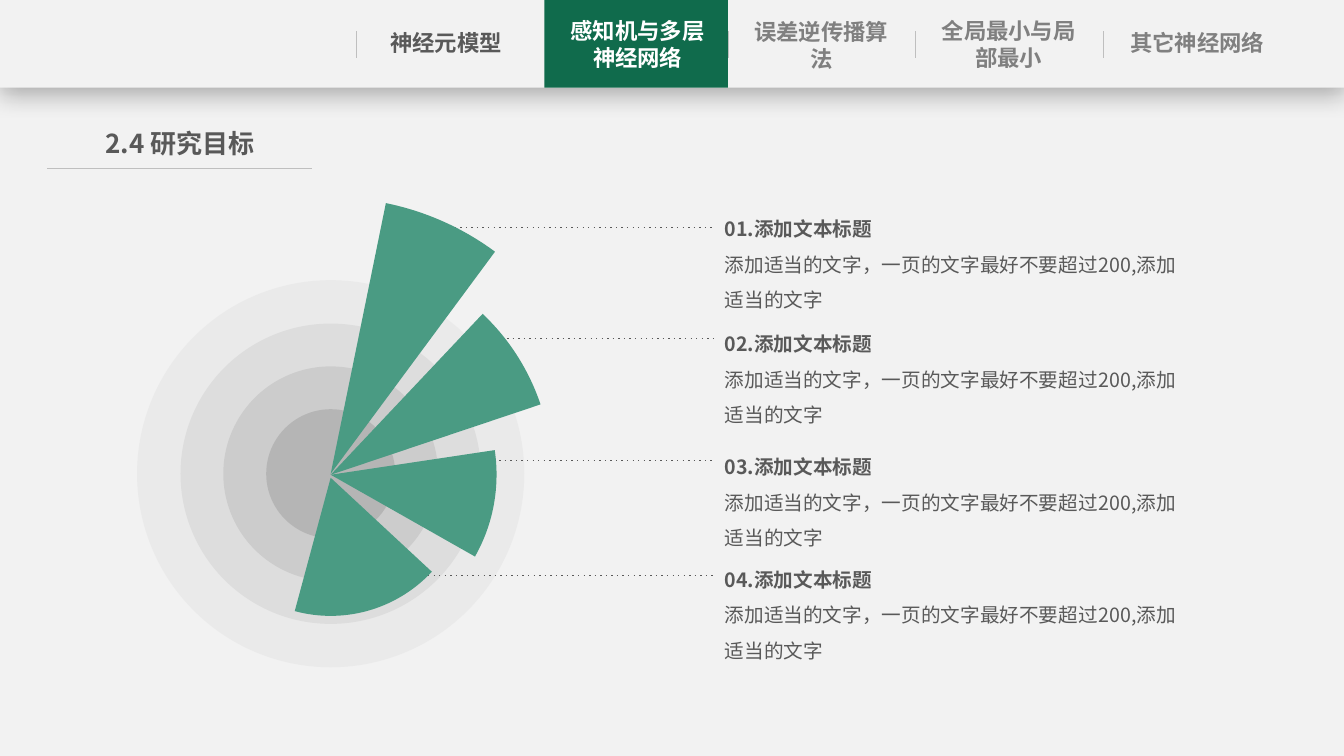
from lxml import etree
from pptx import Presentation
from pptx import util as u
from pptx.dml import color
from pptx.enum import shapes, text
from pptx.oxml import ns

FACE = "Noto Sans CJK SC"
HUES = {
    "page": "F2F2F2", "deep": "106B4C", "leaf": "4A9B83", "rule": "BFBFBF",
    "ink": "595959", "mute": "808080", "white": "FFFFFF",
}
RINGS = [(3.84, "D9D9D9"), (2.98, "BFBFBF"), (2.13, "A6A6A6"), (1.28, "808080")]
WEDGES = [
    (5.48, 4.7, 281.52, 306.49),
    (4.39, 4.71, 313.35, 341.45),
    (3.29, 4.71, 351.45, 29.55),
    (2.74, 4.74, 42.89, 105.07),
]
TABS = [
    (3.69, 0.24, 0.38, "神经元模型", "ink"),
    (5.59, 0.12, 0.64, "感知机与多层神经网络", "white"),
    (7.41, 0.13, 0.64, "误差逆传播算法", "mute"),
    (9.27, 0.12, 0.64, "全局最小与局部最小", "mute"),
    (11.14, 0.24, 0.38, "其它神经网络", "mute"),
]
ITEMS = [(1.99, 4.51, 2.26), (3.13, 4.92, 3.36), (4.35, 4.51, 4.57), (5.47, 4.19, 5.71)]
HINT = "添加适当的文字，一页的文字最好不要超过200,添加适当的文字"
HUB_X, HUB_Y = 3.28, 4.7


def rgb(hue):
    return color.RGBColor.from_string(HUES.get(hue, hue))


def node(parent, tag, **attrs):
    return etree.SubElement(parent, ns.qn(tag), attrs)


def style(item, form):
    for key, value in form.items():
        setattr(item, key, value)


def shape(slide, kind, box, hue, alpha=None):
    item = slide.shapes.add_shape(kind, *map(u.Inches, box))
    item.shadow.inherit = False
    item.fill.solid()
    item.fill.fore_color.rgb = rgb(hue)
    item.line.fill.background()
    if alpha:
        tone = item.fill._xPr.find(".//" + ns.qn("a:srgbClr"))
        node(tone, "a:alpha", val=str(alpha * 1000))
    return item


def disc(slide, kind, size, mid, hue, alpha=None):
    box = (HUB_X - size / 2, mid - size / 2, size, size)
    return shape(slide, kind, box, hue, alpha)


def wedge(slide, size, mid, start, end):
    item = disc(slide, shapes.MSO_SHAPE.PIE, size, mid, "leaf")
    for index, angle in enumerate((start, end)):
        item.adjustments[index] = angle * 0.6


def rule(slide, ends, hue="rule", width=0.5, dash=None):
    item = slide.shapes.add_connector(shapes.MSO_CONNECTOR.STRAIGHT, *map(u.Inches, ends))
    item.line.color.rgb = rgb(hue)
    item.line.width = u.Pt(width)
    if dash:
        node(item.line._get_or_add_ln(), "a:prstDash", val=dash)
    node(item._element.spPr, "a:effectLst")


def write(item, box, lines, size, hue, side=0.1, align=text.PP_ALIGN.LEFT, space=1.0):
    style(item, dict(zip(("left", "top", "width", "height"), map(u.Inches, box))))
    frame = item.text_frame
    style(frame, {
        "word_wrap": True,
        "auto_size": text.MSO_AUTO_SIZE.SHAPE_TO_FIT_TEXT,
        "vertical_anchor": text.MSO_ANCHOR.TOP,
        "margin_left": u.Inches(side), "margin_right": u.Inches(side),
        "margin_top": u.Inches(0.05), "margin_bottom": u.Inches(0.05),
    })
    for index, (words, bold) in enumerate(lines):
        para = frame.add_paragraph() if index else frame.paragraphs[0]
        style(para, {"alignment": align, "line_spacing": space})
        run = para.add_run()
        run.text = words
        style(run.font, {"name": FACE, "size": u.Pt(size), "bold": bold})
        run.font.color.rgb = rgb(hue)
        node(run._r.get_or_add_rPr(), "a:ea", typeface=FACE)


def label(slide, *args, **form):
    write(slide.shapes.add_textbox(0, 0, 0, 0), *args, **form)


def header(slide):
    bar = shape(slide, shapes.MSO_SHAPE.RECTANGLE, (0, 0, 13.33, 0.87), "page")
    glow = node(
        bar._element.spPr.find(ns.qn("a:effectLst")), "a:outerShdw",
        blurRad=str(u.Pt(18)), dist=str(u.Pt(4)), dir="5400000",
        algn="t", rotWithShape="0")
    node(node(glow, "a:srgbClr", val="000000"), "a:alpha", val="29000")
    shape(slide, shapes.MSO_SHAPE.RECTANGLE, (5.4, 0, 1.82, 0.87), "deep")
    for x in (3.53, 7.22, 9.08, 10.94):
        rule(slide, (x, 0.31, x, 0.58))
    for x, y, high, words, hue in TABS:
        label(slide, (x, y, 1.47, high), [(words, True)], 16, hue,
              side=0, align=text.PP_ALIGN.CENTER)


def chart(slide):
    for size, hue in RINGS:
        disc(slide, shapes.MSO_SHAPE.OVAL, size, HUB_Y, hue, 30)
    for _, x, y in ITEMS:
        rule(slide, (x, y, 7.1, y), "ink", 1, "dot")
    for row in WEDGES:
        wedge(slide, *row)


def main():
    deck = Presentation()
    style(deck, {"slide_width": u.Inches(13.33), "slide_height": u.Inches(7.5)})
    slide = deck.slides.add_slide(deck.slide_layouts[5])
    slide.background.fill.solid()
    slide.background.fill.fore_color.rgb = rgb("page")
    header(slide)
    write(slide.shapes.title, (0.75, 1.21, 2.07, 0.42), [("2.4 研究目标", True)],
          18.6, "ink", side=0, align=text.PP_ALIGN.CENTER)
    rule(slide, (0.47, 1.67, 3.09, 1.67))
    chart(slide)
    for count, (top, _, _) in enumerate(ITEMS, 1):
        lines = [(f"{count:02}.添加文本标题", True), (HINT, False)]
        label(slide, (7.09, top, 4.8, 1.16), lines, 14, "ink", space=1.5)
    deck.save("out.pptx")


if __name__ == "__main__":
    main()
